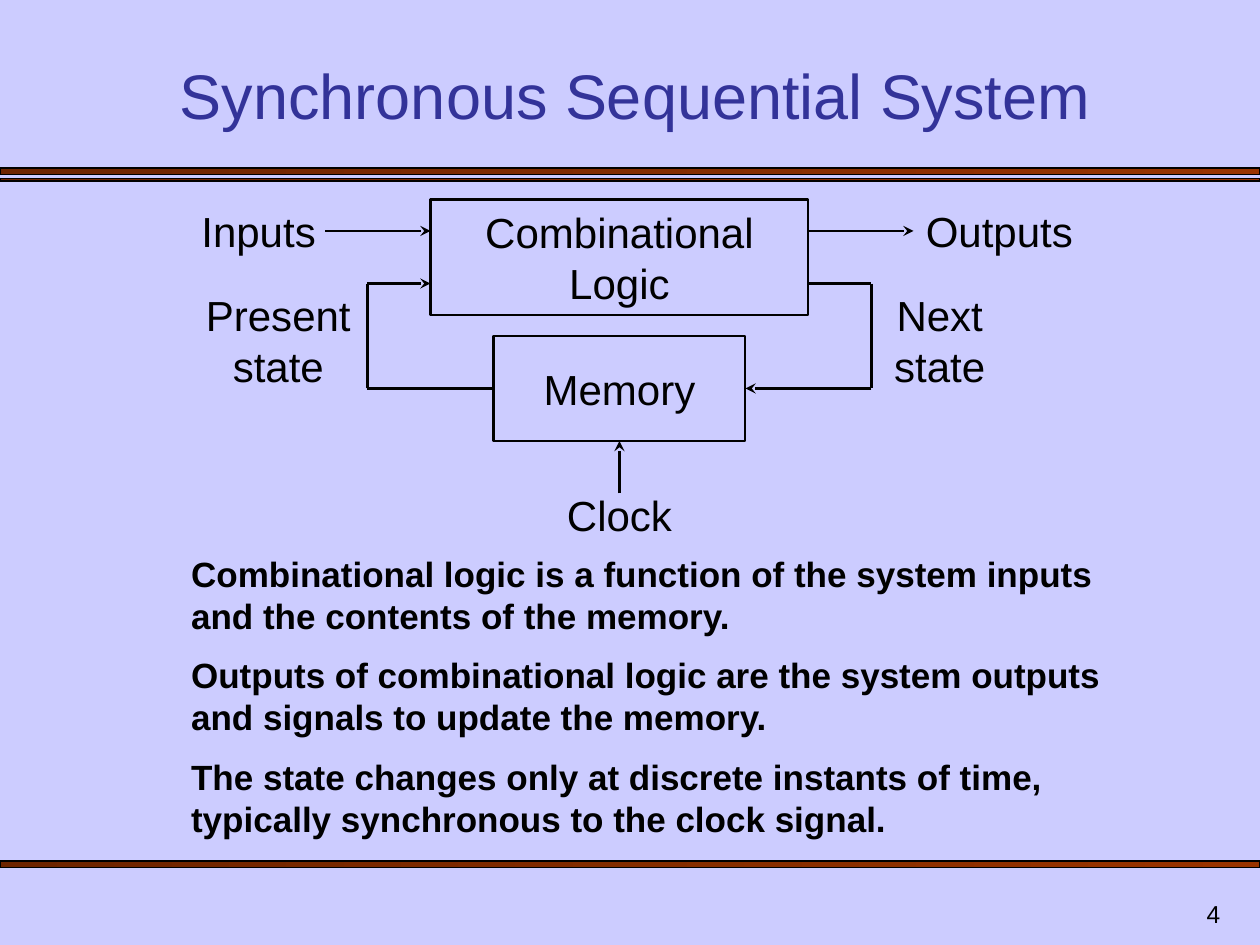
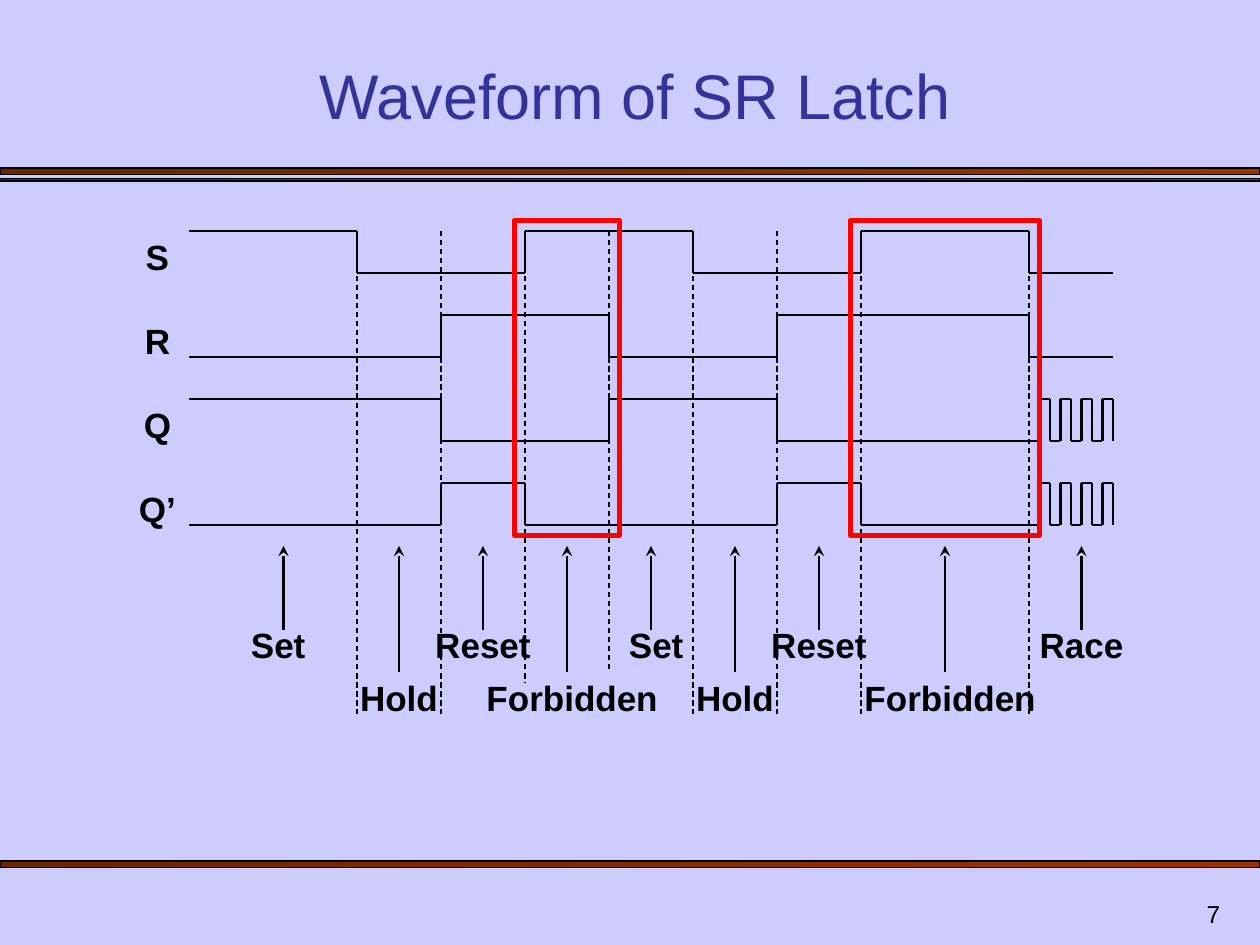
import itertools

import lxml.etree
import pptx
import pptx.dml.color
import pptx.enum.dml
import pptx.enum.shapes
import pptx.enum.text
import pptx.oxml.ns
import pptx.util

COLOURS = {
    "background": "CCCCFF",
    "title": "333399",
    "ink": "000000",
    "band_dark": "6D2400",
    "band_light": "993300",
    "warning": "FF0000",
}
ALIGN = pptx.enum.text.PP_ALIGN
ANCHOR = pptx.enum.text.MSO_ANCHOR
TOP, LEFT, BOTTOM, RIGHT = range(4)
BANDS = [(16, 0.6), (17, 0.24), (82, 0.6)]

STATEMENTS = [
    "Combinational logic is a function of the system inputs and the contents of the memory.",
    "Outputs of combinational logic are the system outputs and signals to update the memory.",
    "The state changes only at discrete instants of time, typically synchronous to the clock signal.",
]

RACE = list(range(99, 107))
SIGNALS = [
    ("S", True, [34, 50, 66, 82, 98]),
    ("R", False, [42, 58, 74, 98]),
    ("Q", True, [42, 58, 74] + RACE),
    ("Q’", False, [42, 50, 74, 82] + RACE),
]
WAVE_START, WAVE_END = 18, 106
EVENT_ENDS = {34: 68, 42: 68, 50: 65, 58: 64, 66: 68, 74: 68, 82: 68, 98: 68}
PHASES = [
    ("Set", 27, 20, 13),
    ("Hold", 38, 31, 14),
    ("Reset", 46, 39, 14),
    ("Forbidden", 54, 45, 19),
    ("Set", 62, 56, 13),
    ("Hold", 70, 63, 14),
    ("Reset", 78, 71, 14),
    ("Forbidden", 90, 81, 19),
    ("Race", 103, 96, 14),
]


def grid(*steps):
    """Turn counts of grid steps, twelve to 2.54 cm, into lengths."""
    return [pptx.util.Cm(step * 2.54 / 12) for step in steps]


def colour(name):
    """Look up a named colour."""
    return pptx.dml.color.RGBColor.from_string(COLOURS[name])


class Lecture:
    """Hold the lecture style and the current slide; places are in grid steps."""

    def __init__(self):
        """Set up the deck with its size and background."""
        self.deck = pptx.Presentation()
        self.deck.slide_width, self.deck.slide_height = grid(120, 90)
        fill = self.deck.slide_master.background.fill
        fill.solid()
        fill.fore_color.rgb = colour("background")
        self.page = None

    def add_page(self, title, number, layout):
        """Start a slide with bands, number and title."""
        layouts = self.deck.slide_layouts
        self.page = self.deck.slides.add_slide(layouts.get_by_name(layout))
        for top, height in BANDS:
            self.band(top, height)
        self.label(str(number), (92.4, 84, 25, 5), 14, align=ALIGN.RIGHT, anchor=ANCHOR.BOTTOM)
        box = self.page.shapes.title
        self.place(box, (7, 5, 107, 8.2))
        self.set_text(box, [title], 36, "title", anchor=ANCHOR.BOTTOM)

    def place(self, box, area):
        """Move and size a box."""
        box.left, box.top, box.width, box.height = grid(*area)

    def set_text(self, box, texts, size, ink="ink", bold=False, align=ALIGN.CENTER, anchor=ANCHOR.TOP):
        """Fill a box with paragraphs in one style."""
        frame = box.text_frame
        frame.text = "\n".join(texts)
        frame.word_wrap = True
        frame.auto_size = pptx.enum.text.MSO_AUTO_SIZE.NONE
        frame.vertical_anchor = anchor
        for index, para in enumerate(frame.paragraphs):
            para.alignment = align
            para.space_before = pptx.util.Pt(size / 2 if index else 0)
            para.font.name = "Arial"
            para.font.size = pptx.util.Pt(size)
            para.font.bold = bold
            para.font.color.rgb = colour(ink)

    def label(self, text, area, size, **style):
        """Add a free-standing text box."""
        box = self.page.shapes.add_textbox(*grid(*area))
        self.set_text(box, [text], size, **style)
        return box

    def statements(self, texts, area):
        """Fill the body placeholder with unbulleted bold paragraphs."""
        box = self.page.placeholders[1]
        self.place(box, area)
        self.set_text(box, texts, 20, bold=True, align=ALIGN.LEFT)
        qn = pptx.oxml.ns.qn
        for properties in box.element.iter(qn("a:pPr")):
            properties.set("marL", "0")
            properties.set("indent", "0")
            properties.find(qn("a:spcBef")).addnext(properties.makeelement(qn("a:buNone")))

    def rectangle(self, area, ink="ink", weight=1.25):
        """Add an unfilled rectangle."""
        box = self.page.shapes.add_shape(pptx.enum.shapes.MSO_SHAPE.RECTANGLE, *grid(*area))
        box.shadow.inherit = False
        box.fill.background()
        box.line.color.rgb = colour(ink)
        box.line.width = pptx.util.Pt(weight)
        return box

    def band(self, top, height):
        """Add a full-width gradient band."""
        fill = self.rectangle((0, top, 120, height), weight=0.75).fill
        fill.gradient()
        fill.gradient_angle = 0
        for stop, name in zip(fill.gradient_stops, ("band_dark", "band_light")):
            stop.color.rgb = colour(name)

    def block(self, text, area):
        """Add an outlined block with a centred name."""
        box = self.rectangle(area)
        self.set_text(box, [text], 24, anchor=ANCHOR.MIDDLE)
        return box

    def line(self, start, end, arrow=False, dashed=False, begin=None, finish=None):
        """Add a straight line, joined to (box, side) pairs where given."""
        connector = self.page.shapes.add_connector(
            pptx.enum.shapes.MSO_CONNECTOR.STRAIGHT, *grid(*start, *end)
        )
        if begin:
            connector.begin_connect(*begin)
        if finish:
            connector.end_connect(*finish)
        connector.line.color.rgb = colour("ink")
        connector.line.width = pptx.util.Pt(0.75 if dashed else 1.25)
        if dashed:
            connector.line.dash_style = pptx.enum.dml.MSO_LINE.DASH
        properties = connector.element.spPr
        qn = pptx.oxml.ns.qn
        if arrow:
            lxml.etree.SubElement(properties.find(qn("a:ln")), qn("a:tailEnd"), type="stealth")
        lxml.etree.SubElement(properties, qn("a:effectLst"))

    def polyline(self, points):
        """Join successive points with lines."""
        for start, end in itertools.pairwise(points):
            if start != end:
                self.line(start, end)

    def waveform(self, name, high, toggles, top):
        """Draw a named two-level signal that flips at each toggle."""
        levels = {True: top, False: top + 4}
        points = [(WAVE_START, levels[high])]
        for moment in toggles:
            points.append((moment, levels[high]))
            high = not high
            points.append((moment, levels[high]))
        points.append((WAVE_END, levels[high]))
        self.polyline(points)
        self.label(name, (12, top - 0.2, 6, 5.2), 20, bold=True)


def draw_system(lecture):
    """Build the block diagram slide."""
    lecture.add_page("Synchronous Sequential System", 4, "Title and Content")
    lecture.block("Combinational Logic", (41, 19, 36, 11))
    memory = lecture.block("Memory", (47, 32, 24, 10))
    lecture.label("Inputs", (18, 19, 15, 6), 24, align=ALIGN.LEFT)
    outputs = lecture.label("Outputs", (87, 19, 18, 6), 24, align=ALIGN.LEFT)
    lecture.label("Next\vstate", (83, 27, 13, 10.8), 24)
    lecture.label("Present\vstate", (16, 27, 21, 10.8), 24)
    lecture.label("Clock", (50, 46, 18, 6), 24)

    lecture.line((31, 22), (41, 22), arrow=True)
    lecture.line((77, 22), (87, 22), arrow=True, finish=(outputs, LEFT))
    lecture.line((47, 37), (35, 37), begin=(memory, LEFT))
    lecture.line((35, 37), (35, 27))
    lecture.line((35, 27), (41, 27), arrow=True)
    lecture.polyline([(77, 27), (83, 27), (83, 37)])
    lecture.line((83, 37), (71, 37), arrow=True, finish=(memory, RIGHT))
    lecture.line((59, 47), (59, 42), arrow=True, finish=(memory, BOTTOM))
    lecture.statements(STATEMENTS, (17, 52, 90, 29.2))


def draw_waveforms(lecture):
    """Build the timing diagram slide."""
    lecture.add_page("Waveform of SR Latch", 7, "Title Only")
    for row, (name, high, toggles) in enumerate(SIGNALS):
        lecture.waveform(name, high, toggles, 22 + 8 * row)
    for moment, bottom in EVENT_ENDS.items():
        lecture.line((moment, 22), (moment, bottom), dashed=True)
    for index, (name, moment, left, width) in enumerate(PHASES):
        arrow_foot, label_top = (64, 63.8) if index % 2 else (60, 58.8)
        lecture.label(name, (left, label_top, width, 5.2), 20, bold=True)
        lecture.line((moment, arrow_foot), (moment, 52), arrow=True)
    for left, width in [(49, 10), (81, 18)]:
        lecture.rectangle((left, 21, width, 30), "warning", 3)


def main():
    """Build and save the deck."""
    lecture = Lecture()
    draw_system(lecture)
    draw_waveforms(lecture)
    lecture.deck.save("out.pptx")


if __name__ == "__main__":
    main()
